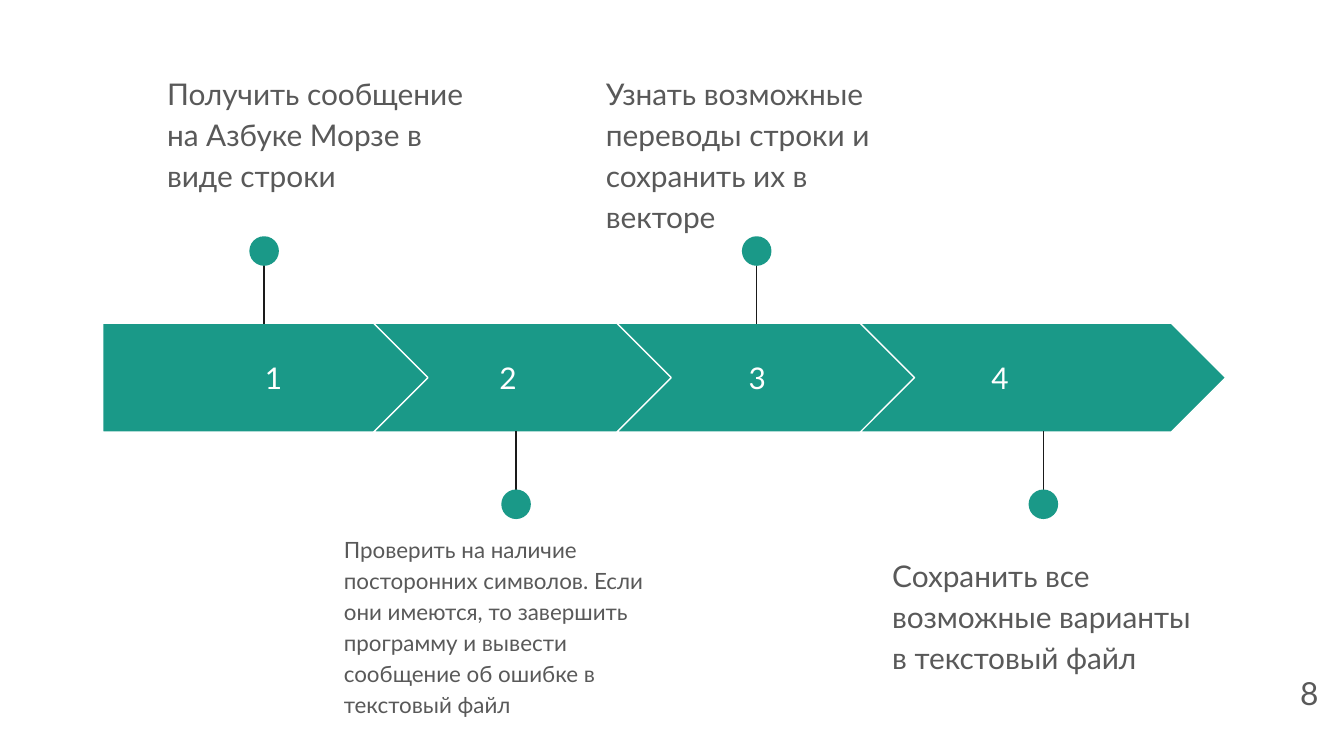
from dataclasses import dataclass

from lxml import etree
from pptx import Presentation
from pptx.dml.color import RGBColor
from pptx.enum.shapes import MSO_CONNECTOR, MSO_SHAPE
from pptx.enum.text import MSO_ANCHOR, PP_ALIGN
from pptx.oxml.ns import qn
from pptx.slide import Slide
from pptx.util import Inches, Pt

TEAL = RGBColor(0x1A, 0x99, 0x88)
WHITE = RGBColor(0xFF, 0xFF, 0xFF)
BLACK = RGBColor(0x1A, 0x1A, 0x1A)
GRAY = RGBColor(0x59, 0x59, 0x59)

PENTAGON = MSO_SHAPE.PENTAGON
CHEVRON = MSO_SHAPE.CHEVRON
OVAL = MSO_SHAPE.OVAL
STRAIGHT = MSO_CONNECTOR.STRAIGHT
TOP, MIDDLE = MSO_ANCHOR.TOP, MSO_ANCHOR.MIDDLE
LEFT, CENTER, RIGHT = PP_ALIGN.LEFT, PP_ALIGN.CENTER, PP_ALIGN.RIGHT

FONT = "Lato"
PAGE_WIDTH = Inches(10)
PAGE_HEIGHT = PAGE_WIDTH * 9 // 16
COLUMN = PAGE_WIDTH / 100
ROW = PAGE_HEIGHT / 56.25

BAND_TOP, BAND_HEIGHT = 24.05, 8.1
BAND_MIDDLE = BAND_TOP + BAND_HEIGHT / 2
CHEVRON_START, CHEVRON_PITCH = 27.8, 18.1
DOT_SIZE = 2.2
DOT_DISTANCE = 9.42
STEM_NEAR, STEM_FAR = 4, 10.1
CAPTION_WIDTH = 24.5


@dataclass(frozen=True)
class Area:
    column: float
    row: float
    columns: float
    rows: float

    def lengths(self) -> tuple[int, int, int, int]:
        return (
            round(self.column * COLUMN),
            round(self.row * ROW),
            round(self.columns * COLUMN),
            round(self.rows * ROW),
        )


@dataclass(frozen=True)
class Step:
    arrow_column: float
    arrow_width: float
    number_middle: float
    pin_column: float
    side: int
    caption_column: float
    caption_row: float
    caption_rows: float
    caption: str
    size: int = 16
    outline: MSO_SHAPE = CHEVRON


STEPS = [
    Step(7.65, 24.5, 20.35, 19.65, -1, 11.45, 4.2, 9.9,
         "Получить сообщение на Азбуке Морзе в виде строки", outline=PENTAGON),
    Step(CHEVRON_START, 22.4, 37.8, 38.4, 1, 24.6, 38.6, 9.9,
         "Проверить на наличие посторонних символов. Если они имеются, "
         "то завершить программу и вывести сообщение об ошибке в текстовый файл",
         size=12),
    Step(CHEVRON_START + CHEVRON_PITCH, 22.4, 56.35, 56.3, -1, 44.1, 4.2, 12.6,
         "Узнать возможные переводы строки и сохранить иx в векторе"),
    Step(CHEVRON_START + 2 * CHEVRON_PITCH, 27.2, 74.4, 77.63, 1, 65.4, 40.1, 9.9,
         "Сохранить все возможные варианты в текстовый файл"),
]


def add_text(page: Slide, area: Area, text: str, size: int, color: RGBColor,
             align: PP_ALIGN = LEFT, anchor: MSO_ANCHOR = TOP,
             spacing: float = 1.0) -> None:
    frame = page.shapes.add_textbox(*area.lengths()).text_frame
    frame.word_wrap = True
    frame.vertical_anchor = anchor
    frame.margin_left = frame.margin_right = Inches(0.1)
    frame.margin_top = frame.margin_bottom = Inches(0.1)
    para = frame.paragraphs[0]
    para.text = text
    para.alignment = align
    para.line_spacing = spacing
    para.font.name = FONT
    para.font.size = Pt(size)
    para.font.color.rgb = color


def add_arrow(page: Slide, step: Step) -> None:
    area = Area(step.arrow_column, BAND_TOP, step.arrow_width, BAND_HEIGHT)
    arrow = page.shapes.add_shape(step.outline, *area.lengths())
    arrow.shadow.inherit = False
    arrow.adjustments[0] = 0.5
    arrow.fill.solid()
    arrow.fill.fore_color.rgb = TEAL
    arrow.line.color.rgb = WHITE
    arrow.line.width = Pt(0.75)


def add_pin(page: Slide, column: float, side: int) -> None:
    middle = round(column * COLUMN)
    far, near = (round((BAND_MIDDLE + side * distance) * ROW)
                 for distance in (STEM_FAR, STEM_NEAR))
    stem = page.shapes.add_connector(STRAIGHT, middle, far, middle, near)
    stem.line.color.rgb = BLACK
    stem.line.width = Pt(0.75)
    etree.SubElement(stem._element.spPr, qn("a:effectLst"))

    dot_row = BAND_MIDDLE + side * DOT_DISTANCE - DOT_SIZE / 2
    area = Area(column - DOT_SIZE / 2, dot_row, DOT_SIZE, DOT_SIZE)
    dot = page.shapes.add_shape(OVAL, *area.lengths())
    dot.shadow.inherit = False
    dot.fill.solid()
    dot.fill.fore_color.rgb = TEAL
    dot.line.fill.background()


def add_step(page: Slide, number: int, step: Step) -> None:
    add_arrow(page, step)
    number_area = Area(step.number_middle - 7.2, 25.55, 14.4, 5.1)
    add_text(page, number_area, str(number), 16, WHITE, CENTER, MIDDLE)
    add_pin(page, step.pin_column, step.side)
    caption_area = Area(step.caption_column, step.caption_row,
                        CAPTION_WIDTH, step.caption_rows)
    add_text(page, caption_area, step.caption, step.size, GRAY, spacing=1.15)


def main() -> None:
    deck = Presentation()
    deck.slide_width, deck.slide_height = PAGE_WIDTH, PAGE_HEIGHT
    page = deck.slides.add_slide(deck.slide_layouts[6])
    for number, step in enumerate(STEPS, start=1):
        add_step(page, number, step)
    add_text(page, Area(93.1, 49.4, 6, 4.3), "8", 17, GRAY, RIGHT, MIDDLE)
    deck.save("out.pptx")


if __name__ == "__main__":
    main()
